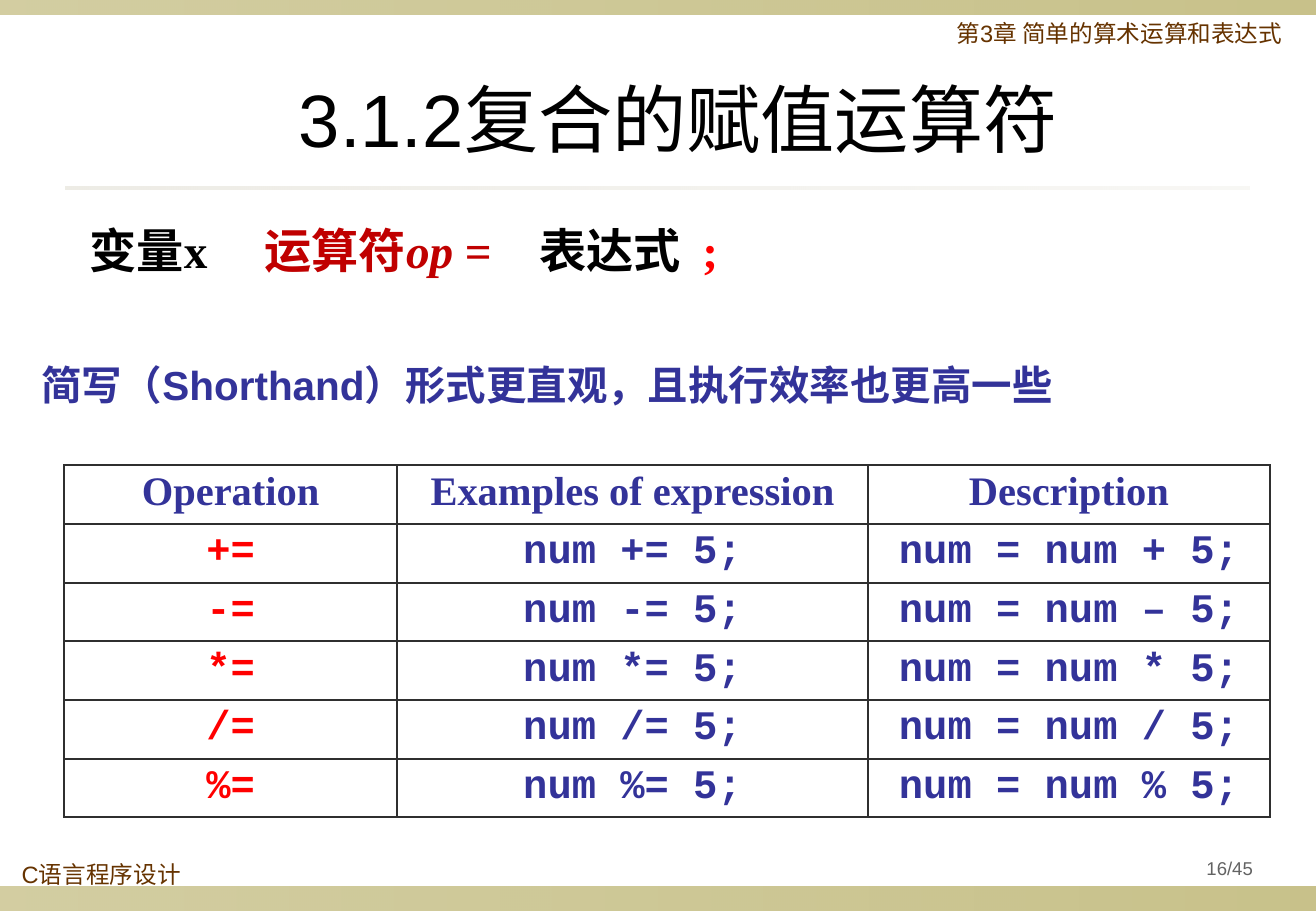
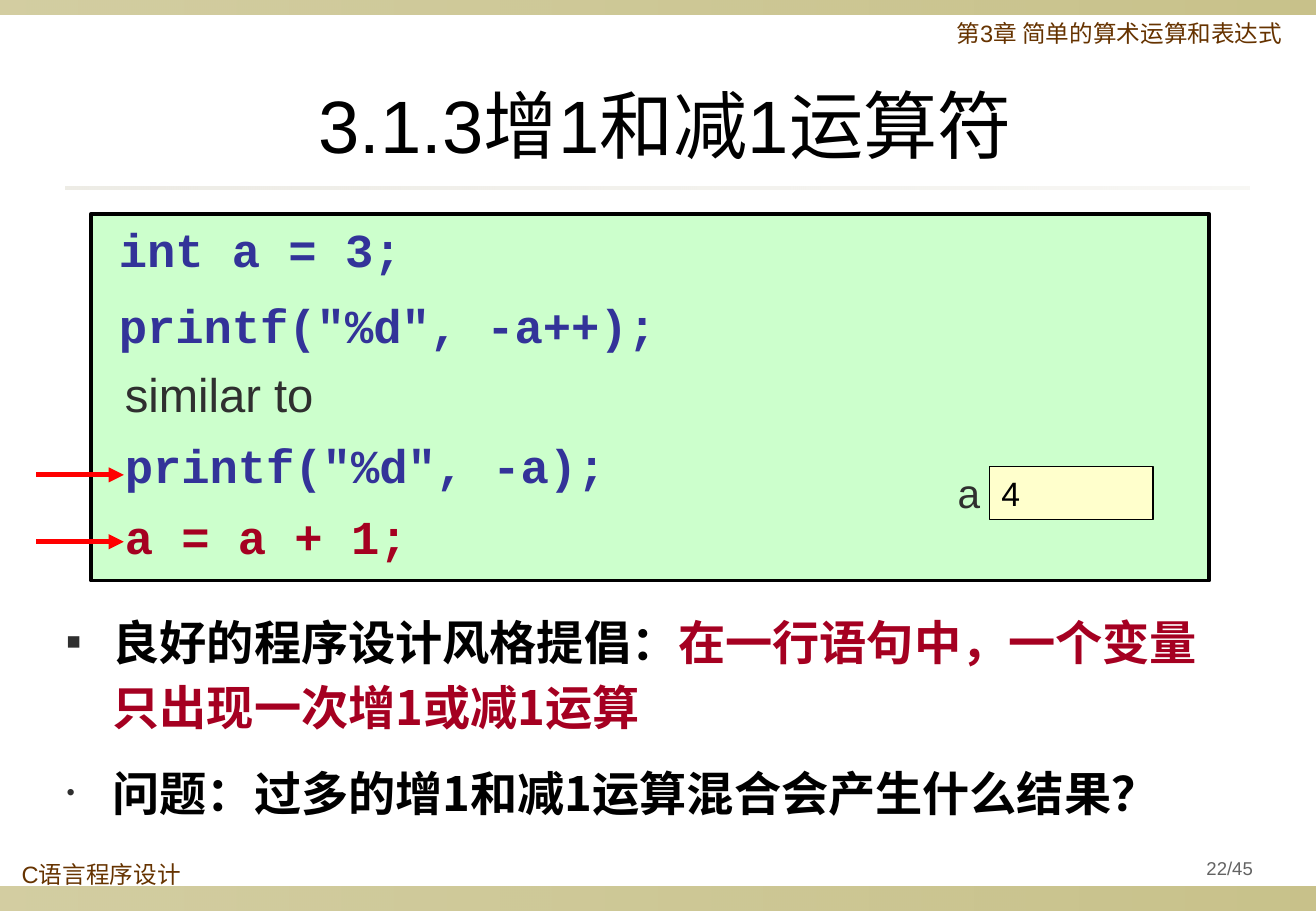
from lxml import etree
from pptx import Presentation, util as u
from pptx.dml import color
from pptx.enum import shapes, text
from pptx.oxml import ns

WIDTH, HEIGHT = 10.84, 7.5
BLACK, DARK, BLUE, RED = "000000", "2F2F2F", "333399", "FF0000"
CRIMSON, BRICK, BROWN, GRAY = "A50021", "C00000", "663300", "636363"
OLIVE, SAND, MINT, CREAM = "918415", "DCD9CC", "CCFFCC", "FFFFCC"
SANS, SERIF, MONO, CJK = "Arial", "Times New Roman", "Courier New", "Noto Sans CJK SC"
CENTER, MIDDLE = text.PP_ALIGN.CENTER, text.MSO_ANCHOR.MIDDLE
RECT = shapes.MSO_SHAPE.RECTANGLE


def rgb(value):
    return color.RGBColor.from_string(value)


def across(share):
    return u.Inches(WIDTH * share / 100)


def down(share):
    return u.Inches(HEIGHT * share / 100)


def place(left, top, width, height):
    return across(left), down(top), across(width), down(height)


def add_xml(parent, tag, **attrs):
    return etree.SubElement(parent, ns.qn(tag), attrs)


def run(content, size, font, fill, bold=False, italic=False):
    return content, size, font, fill, bold, italic


def fill_paragraph(p, runs, align=None, spacing=1, before=0, after=0):
    p.alignment = align
    p.line_spacing = spacing
    p.space_before, p.space_after = u.Pt(before), u.Pt(after)
    for content, size, font, fill, bold, italic in runs:
        r = p.add_run()
        r.text = content
        r.font.size, r.font.name = u.Pt(size), font
        r.font.bold, r.font.italic = bold, italic
        r.font.color.rgb = rgb(fill)
        add_xml(r.font._element, "a:ea", typeface=CJK)


def write(tf, paragraphs, anchor=text.MSO_ANCHOR.TOP, **style):
    tf.word_wrap = True
    tf.auto_size = text.MSO_AUTO_SIZE.NONE
    tf.vertical_anchor = anchor
    for i, runs in enumerate(paragraphs):
        p = tf.paragraphs[0] if i == 0 else tf.add_paragraph()
        fill_paragraph(p, runs, **style)


def add_text(slide, box, paragraphs, **style):
    sp = slide.shapes.add_textbox(*place(*box))
    write(sp.text_frame, paragraphs, **style)
    return sp


def add_rect(slide, box):
    sp = slide.shapes.add_shape(RECT, *place(*box))
    sp.shadow.inherit = False
    return sp


def add_panel(slide, box, fill, weight, paragraphs, **style):
    sp = add_rect(slide, box)
    sp.fill.solid()
    sp.fill.fore_color.rgb = rgb(fill)
    sp.line.color.rgb = rgb(BLACK)
    sp.line.width = u.Pt(weight)
    write(sp.text_frame, paragraphs, align=text.PP_ALIGN.LEFT, **style)
    return sp


def add_fade(slide, box, fill, opacities):
    sp = add_rect(slide, box)
    sp.line.fill.background()
    sp.fill.gradient()
    sp.fill.gradient_angle = 0
    for stop, opacity in zip(sp.fill.gradient_stops, opacities):
        stop.color.rgb = rgb(fill)
    for clr, opacity in zip(sp.element.spPr.iter(ns.qn("a:srgbClr")), opacities):
        add_xml(clr, "a:alpha", val=str(opacity * 1000))
    return sp


def add_arrow(slide, left, right, y):
    line = slide.shapes.add_connector(
        shapes.MSO_CONNECTOR.STRAIGHT, across(left), down(y), across(right), down(y))
    line.line.color.rgb = rgb(RED)
    line.line.width = u.Pt(3)
    add_xml(line.line._get_or_add_ln(), "a:tailEnd", type="triangle")
    add_xml(line.element.spPr, "a:effectLst")


def add_bullet(p, char):
    pPr = p._p.get_or_add_pPr()
    indent = u.Inches(0.38)
    pPr.set("marL", str(indent))
    pPr.set("indent", str(-indent))
    add_xml(add_xml(pPr, "a:buClr"), "a:srgbClr", val=DARK)
    add_xml(pPr, "a:buSzPct", val="50000")
    add_xml(pPr, "a:buFont", typeface=SANS)
    add_xml(pPr, "a:buChar", char=char)


def add_tabs(p, stops):
    tabs = add_xml(p._p.get_or_add_pPr(), "a:tabLst")
    for stop in stops:
        add_xml(tabs, "a:tab", pos=str(across(stop)), algn="l")


def border_cell(cell):
    tcPr = cell._tc.get_or_add_tcPr()
    for i, side in enumerate(("a:lnL", "a:lnR", "a:lnT", "a:lnB")):
        ln = etree.Element(ns.qn(side), {"w": str(u.Pt(1.47))})
        add_xml(add_xml(ln, "a:solidFill"), "a:srgbClr", val=DARK)
        tcPr.insert(i, ln)


def add_grid(slide, box, columns, rows):
    table = slide.shapes.add_table(len(rows), len(columns), *place(*box)).table
    table.first_row = table.horz_banding = False
    for column, width in zip(table.columns, columns):
        column.width = across(width)
    for i, values in enumerate(rows):
        table.rows[i].height = down(box[3] / len(rows))
        for j, value in enumerate(values):
            cell = table.cell(i, j)
            cell.margin_left = cell.margin_right = u.Inches(0.11)
            cell.fill.background()
            border_cell(cell)
            font = MONO if i else SERIF
            fill = RED if i and j == 0 else BLUE
            fill_paragraph(cell.text_frame.paragraphs[0],
                           [run(value, 24, font, fill, True)], CENTER, 0.95)


def move_frame_to_master(prs, slide):
    frame = [
        add_fade(slide, (0, 97.33, 100, 2.67), OLIVE, (40, 50)),
        add_fade(slide, (0, 0, 100, 1.6), OLIVE, (40, 50)),
        add_fade(slide, (4.98, 20.53, 89.94, 0.27), SAND, (50, 20)),
        add_text(slide, (0.74, 94.13, 21.68, 5.87),
                 [[run("C语言程序设计", 14, SANS, BROWN)]], spacing=0.9),
        add_text(slide, (71.77, 1.73, 28.14, 5.2),
                 [[run("第3章 简单的算术运算和表达式", 14, SANS, BROWN)]], spacing=0.9),
    ]
    for number, sp in enumerate(frame, 20):
        sp.element.nvSpPr.cNvPr.set("id", str(number))
        prs.slide_master.shapes.element.append(sp.element)


def add_slide(prs, title, title_box, page, **title_style):
    slide = prs.slides.add_slide(prs.slide_layouts[5])
    sp = slide.shapes.title
    sp.left, sp.top, sp.width, sp.height = place(*title_box)
    write(sp.text_frame, [[run(title, 44, SANS, BLACK)]],
          anchor=text.MSO_ANCHOR.BOTTOM, align=CENTER, **title_style)
    number = add_text(slide, (88.47, 93.33, 9.96, 4.13), [[run(page, 11, SANS, GRAY)]],
                      anchor=MIDDLE, align=CENTER, spacing=0.9)
    number.text_frame.margin_left = number.text_frame.margin_right = u.Inches(0.05)
    return slide


def build_assignment(prs):
    slide = add_slide(prs, "3.1.2复合的赋值运算符", (5.9, 6.93, 91.33, 11.6), "16/45")
    move_frame_to_master(prs, slide)
    syntax = add_text(slide, (5.9, 20.53, 93.27, 24.13), [[
        run("变量x\t", 28, SERIF, BLACK, True),
        run("运算符", 28, SERIF, BRICK, True),
        run("op", 28, SERIF, BRICK, True, True),
        run(" =\t", 28, SERIF, BRICK, True),
        run("表达式 ", 28, SERIF, BLACK, True),
        run(" ;", 28, SERIF, RED, True),
    ]], spacing=1.5, after=6)
    add_tabs(syntax.text_frame.paragraphs[0], (13.3, 34.2))
    add_text(slide, (2.21, 39.47, 87.73, 6.13),
             [[run("简写（Shorthand）形式更直观，且执行效率也更高一些", 24, SANS, BLUE, True)]],
             spacing=0.9)
    rows = [("Operation", "Examples of expression", "Description")]
    for op, sign in zip("+-*/%", "+–*/%"):
        rows.append((f"{op}=", f"num {op}= 5;", f"num = num {sign} 5;"))
    add_grid(slide, (4.89, 51.07, 91.61, 38.67), (25.28, 35.79, 30.54), rows)


def build_increment(prs):
    slide = add_slide(prs, "3.1.3增1和减1运算符", (6.09, 6.93, 88.93, 12.27), "22/45",
                      spacing=0.85, after=5.9)
    code = add_panel(slide, (6.92, 23.47, 84.96, 40.27), MINT, 2.25,
                     [[run(line, 28, MONO, BLUE, True)]
                      for line in ("int a = 3;", 'printf("%d", -a++);')],
                     before=5.9, after=5.9)
    for p in code.text_frame.paragraphs:
        p._p.get_or_add_pPr().set("marL", str(u.Inches(0.13)))
    add_text(slide, (71.86, 50.67, 9.13, 6.67), [[run("a", 24, SANS, DARK)]])
    steps = add_text(slide, (8.58, 39.47, 53.23, 23.2), [
        [run("similar to", 28, SANS, DARK)],
        [run('printf("%d", -a);', 28, MONO, BLUE, True)],
        [run("a = a + 1;", 28, MONO, CRIMSON, True)],
    ], spacing=0.9, before=6, after=5.9)
    steps.text_frame.paragraphs[0].line_spacing = 1
    for y in (52.13, 59.47):
        add_arrow(slide, 2.77, 9.41, y)
    add_panel(slide, (75.18, 51.2, 12.45, 5.87), CREAM, 0.75, [[run("4", 20, SANS, BLACK)]])
    advice = add_text(slide, (4.15, 65.73, 90.13, 25.87), [
        [run("良好的程序设计风格提倡：", 28, CJK, BLACK, True),
         run("在一行语句中，一个变量只出现一次增1或减1运算", 28, CJK, CRIMSON, True)],
        [run("问题：过多的增1和减1运算混合会产生什么结果？", 28, CJK, BLACK, True)],
    ], spacing=1.15, before=6, after=6)
    for p, char in zip(advice.text_frame.paragraphs, "■•"):
        add_bullet(p, char)


def main():
    prs = Presentation()
    prs.slide_width, prs.slide_height = u.Inches(WIDTH), u.Inches(HEIGHT)
    build_assignment(prs)
    build_increment(prs)
    prs.save("out.pptx")


if __name__ == "__main__":
    main()
